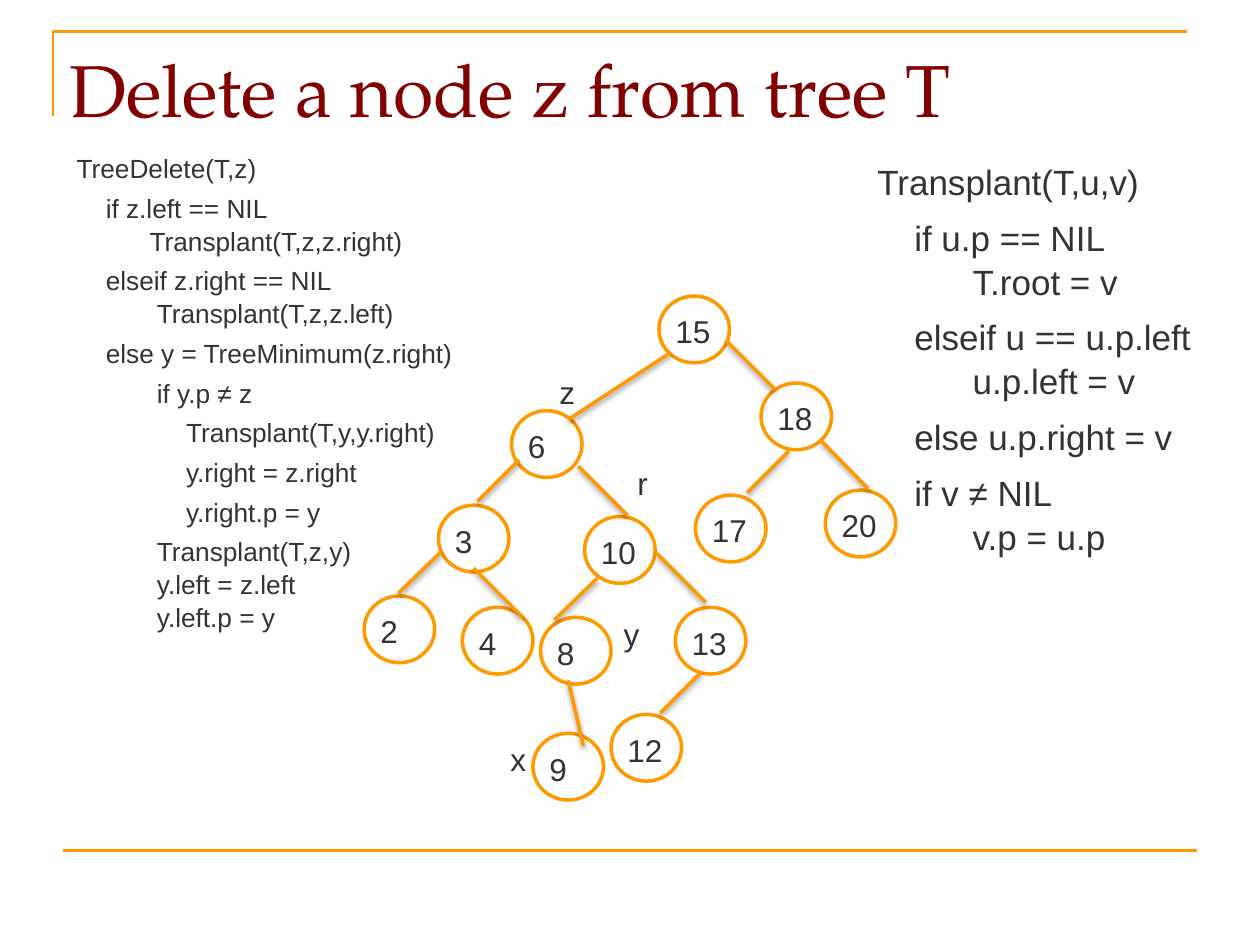
from dataclasses import dataclass

from lxml.etree import SubElement
from pptx import Presentation
from pptx.dml.color import RGBColor
from pptx.enum.shapes import MSO_CONNECTOR, MSO_SHAPE
from pptx.enum.text import MSO_ANCHOR
from pptx.oxml.ns import qn
from pptx.util import Inches, Pt


@dataclass(frozen=True)
class Theme:
    accent: RGBColor = RGBColor(0xFF, 0x99, 0x00)
    heading: RGBColor = RGBColor(0x82, 0x00, 0x00)
    ink: RGBColor = RGBColor(0x33, 0x33, 0x33)
    paper: RGBColor = RGBColor(0xFF, 0xFF, 0xFF)
    heading_font: str = "TeX Gyre Pagella"
    body_font: str = "Arial"
    heading_size: int = 42
    delete_size: int = 15
    transplant_size: int = 20
    node_size: int = 18
    rule_width: float = 1.5
    tree_width: float = 2


THEME = Theme()
SPACE_WIDTH = 0.278
NODE_WIDTH, NODE_HEIGHT = 0.56, 0.53
KEY_INSET = 0.08

DELETE_CODE = [
    (1, 1, "TreeDelete(T,z)"),
    (5, 11, "if z.left == NIL\vTransplant(T,z,z.right)"),
    (5, 12, "elseif z.right == NIL\vTransplant(T,z,z.left)"),
    (5, 5, "else y = TreeMinimum(z.right)"),
    (12, 12, "if y.p ≠ z"),
    (16, 16, "Transplant(T,y,y.right)"),
    (16, 16, "y.right = z.right"),
    (16, 16, "y.right.p = y"),
    (12, 12, "Transplant(T,z,y)\vy.left = z.left\vy.left.p = y"),
]
TRANSPLANT_CODE = [
    (1.2, 1.2, "Transplant(T,u,v)"),
    (5, 11, "if u.p == NIL\vT.root = v"),
    (5, 11, "elseif u == u.p.left\vu.p.left = v"),
    (5, 5, "else u.p.right = v"),
    (5, 11, "if v ≠ NIL\vv.p = u.p"),
]
NODES = {
    15: (5.23, 2.35), 6: (4.06, 3.26), 18: (6.04, 3.04), 3: (3.48, 4.01),
    10: (4.64, 4.1), 17: (5.52, 3.93), 20: (6.55, 3.89), 2: (2.89, 4.73),
    4: (3.67, 4.82), 13: (5.36, 4.82), 12: (4.85, 5.67), 8: (4.29, 4.9),
    9: (4.23, 5.82),
}
EDGES = [
    (4.51, 3.33, 5.32, 2.8), (6.15, 3.09, 5.76, 2.7),
    (3.79, 3.98, 4.12, 3.65), (4.98, 4.09, 4.59, 3.7),
    (5.93, 3.91, 6.26, 3.58), (6.89, 3.88, 6.51, 3.49),
    (3.16, 4.71, 3.5, 4.38), (4.15, 4.9, 3.76, 4.51),
    (5.6, 4.78, 5.21, 4.39), (5.24, 5.66, 5.57, 5.33),
    (4.4, 4.92, 4.74, 4.59), (4.63, 5.92, 4.51, 5.4),
]
POINTERS = {
    "z": (4.39, 2.91, 0.24), "r": (5.01, 3.63, 0.2),
    "y": (4.9, 4.83, 0.24), "x": (4, 5.82, 0.24),
}


def apply_format(target, values):
    for attribute, value in values.items():
        setattr(target, attribute, value)


def style_line(line, width):
    line.color.rgb = THEME.accent
    line.width = Pt(width)


def add_textbox(slide, left, top, width, height, wrap=True, inset_top=0.05):
    box = slide.shapes.add_textbox(*map(Inches, (left, top, width, height)))
    apply_format(box.text_frame, {
        "word_wrap": wrap,
        "vertical_anchor": MSO_ANCHOR.TOP,
        "margin_left": Inches(0.05),
        "margin_right": Inches(0.05),
        "margin_top": Inches(inset_top),
        "margin_bottom": Inches(0.05),
    })
    return box.text_frame


def style_text(paragraph, size, color=THEME.ink, font=THEME.body_font):
    for run in paragraph.runs:
        apply_format(run.font, {"size": Pt(size), "name": font})
        run.font.color.rgb = color


def add_label(slide, text, bounds, wrap=True, **style):
    paragraph = add_textbox(slide, *bounds, wrap=wrap).paragraphs[0]
    paragraph.text = text
    style_text(paragraph, **style)


def add_code(slide, steps, bounds, size, gap, inset_top=0.05):
    frame = add_textbox(slide, *bounds, inset_top=inset_top)
    unit = Pt(size) * SPACE_WIDTH
    for index, (first, rest, text) in enumerate(steps):
        paragraph = frame.add_paragraph() if index else frame.paragraphs[0]
        paragraph.text = text
        apply_format(paragraph, {
            "space_before": Pt(gap if index else 0),
            "line_spacing": 1.04,
        })
        properties = paragraph._p.get_or_add_pPr()
        properties.set("marL", str(round(rest * unit)))
        properties.set("indent", str(round((first - rest) * unit)))
        style_text(paragraph, size)


def add_line(slide, start, end, width, shadow=False):
    line = slide.shapes.add_connector(
        MSO_CONNECTOR.STRAIGHT, *map(Inches, (*start, *end)))
    style_line(line.line, width)
    effects = SubElement(line._element.spPr, qn("a:effectLst"))
    if shadow:
        cast = SubElement(effects, qn("a:outerShdw"), blurRad=str(Pt(3)),
                          dist=str(Pt(1.6)), dir="5400000", rotWithShape="0")
        black = SubElement(cast, qn("a:srgbClr"), val="000000")
        SubElement(black, qn("a:alpha"), val="38000")


def add_corner(slide):
    builder = slide.shapes.build_freeform(Inches(0.42), Inches(0.92))
    builder.add_line_segments(
        [(Inches(0.42), Inches(0.25)), (Inches(9.42), Inches(0.25))],
        close=False)
    corner = builder.convert_to_shape()
    corner.shadow.inherit = False
    corner.fill.background()
    style_line(corner.line, THEME.rule_width)


def add_node(slide, key, left, top):
    node = slide.shapes.add_shape(
        MSO_SHAPE.OVAL, *map(Inches, (left, top, NODE_WIDTH, NODE_HEIGHT)))
    node.shadow.inherit = False
    node.fill.solid()
    node.fill.fore_color.rgb = THEME.paper
    style_line(node.line, THEME.tree_width)
    add_label(slide, str(key), (left + KEY_INSET, top + KEY_INSET, 0.4, 0.38),
              size=THEME.node_size)


def add_tree(slide):
    for key, (left, top) in NODES.items():
        add_node(slide, key, left, top)
    for x1, y1, x2, y2 in EDGES:
        add_line(slide, (x1, y1), (x2, y2), THEME.tree_width, shadow=True)
    for name, (left, top, width) in POINTERS.items():
        add_label(slide, name, (left, top, width, 0.41), wrap=False,
                  size=THEME.node_size)


def main():
    deck = Presentation()
    apply_format(deck, {"slide_width": Inches(10), "slide_height": Inches(7.5)})
    slide = deck.slides.add_slide(deck.slide_layouts[6])
    add_corner(slide)
    add_line(slide, (0.5, 6.75), (9.5, 6.75), THEME.rule_width)
    add_label(slide, "Delete a node z from tree T", (0.5, 0.3, 9, 1.03),
              size=THEME.heading_size, color=THEME.heading,
              font=THEME.heading_font)
    add_code(slide, DELETE_CODE, (0.5, 1.15, 4.01, 4.69),
             THEME.delete_size, gap=4)
    add_code(slide, TRANSPLANT_CODE, (6.82, 1.14, 2.95, 4.08),
             THEME.transplant_size, gap=7, inset_top=0.12)
    add_tree(slide)
    deck.save("out.pptx")


main()
